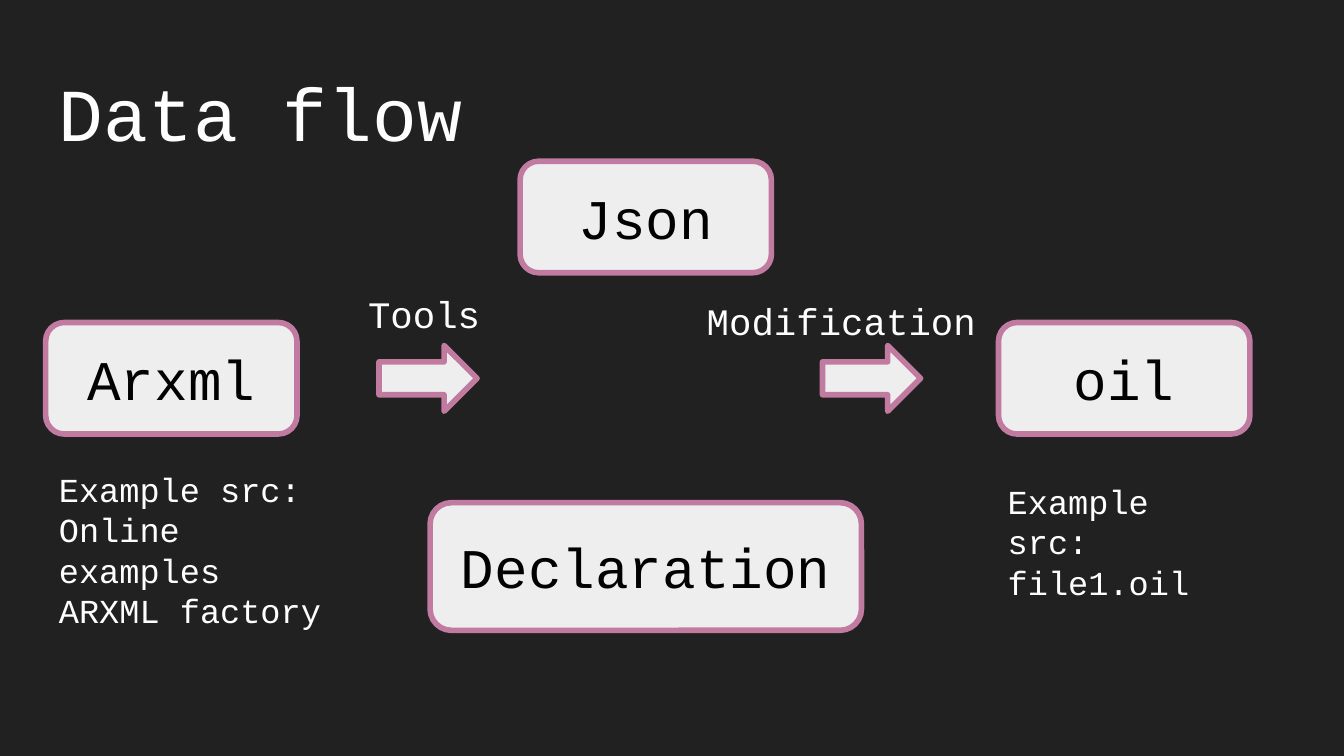
from pptx import Presentation
from pptx.dml.color import RGBColor
from pptx.enum.shapes import MSO_SHAPE as Shape
from pptx.enum.text import MSO_ANCHOR as Anchor, PP_ALIGN as Align
from pptx.util import Inches, Pt


def color(code):
    return RGBColor.from_string(code)


def write(box, text, size=18, ink="FFFFFF", align=Align.LEFT,
          anchor=Anchor.TOP, pad=0.05):
    frame = box.text_frame
    frame.word_wrap = True
    frame.vertical_anchor = anchor
    frame.margin_left = frame.margin_right = Inches(0.1)
    frame.margin_top = frame.margin_bottom = Inches(pad)
    frame.text = text
    for para in frame.paragraphs:
        para.alignment = align
        font = para.runs[0].font
        font.name = "Courier New"
        font.size = Pt(size)
        font.color.rgb = color(ink)


# A 16:9 slide
deck = Presentation()
deck.slide_width = Inches(10)
deck.slide_height = Inches(10) * 9 // 16
slide = deck.slides.add_slide(deck.slide_layouts[6])
slide.background.fill.solid()
slide.background.fill.fore_color.rgb = color("212121")
shapes = slide.shapes

# Stage boxes and arrows
box, arrow = Shape.ROUNDED_RECTANGLE, Shape.RIGHT_ARROW
for kind, text, x, y, w, h in [
    (box, "Arxml", 0.34, 2.4, 1.87, 0.83),
    (box, "Json", 3.87, 1.2, 1.87, 0.83),
    (box, "Declaration", 3.2, 3.74, 3.21, 0.95),
    (box, "oil", 7.43, 2.4, 1.87, 0.83),
    (arrow, "", 2.82, 2.57, 0.73, 0.49),
    (arrow, "", 6.12, 2.57, 0.73, 0.49),
]:
    part = shapes.add_shape(kind, Inches(x), Inches(y), Inches(w), Inches(h))
    part.shadow.inherit = False
    part.fill.solid()
    part.fill.fore_color.rgb = color("EEEEEE")
    part.line.color.rgb = color("C27BA0")
    part.line.width = Pt(3)
    if text:
        write(part, text, size=30, ink="000000", align=Align.CENTER,
              anchor=Anchor.MIDDLE, pad=0.1)

# Title, arrow labels and source notes
for text, x, y, w, h, size, pad in [
    ("Data flow", 0.34, 0.4, 9.32, 0.63, 40, 0.1),
    ("Tools", 2.64, 2.12, 1.09, 0.44, 20, 0.05),
    ("Modification", 5.16, 2.17, 2.58, 0.44, 20, 0.05),
    ("Example src:\nOnline examples\nARXML factory", 0.34, 3.44, 2.2, 1.31, 18, 0.05),
    ("Example src:\nfile1.oil", 7.4, 3.53, 1.87, 0.71, 18, 0.05),
]:
    label = shapes.add_textbox(Inches(x), Inches(y), Inches(w), Inches(h))
    write(label, text, size=size, pad=pad)

deck.save("out.pptx")
